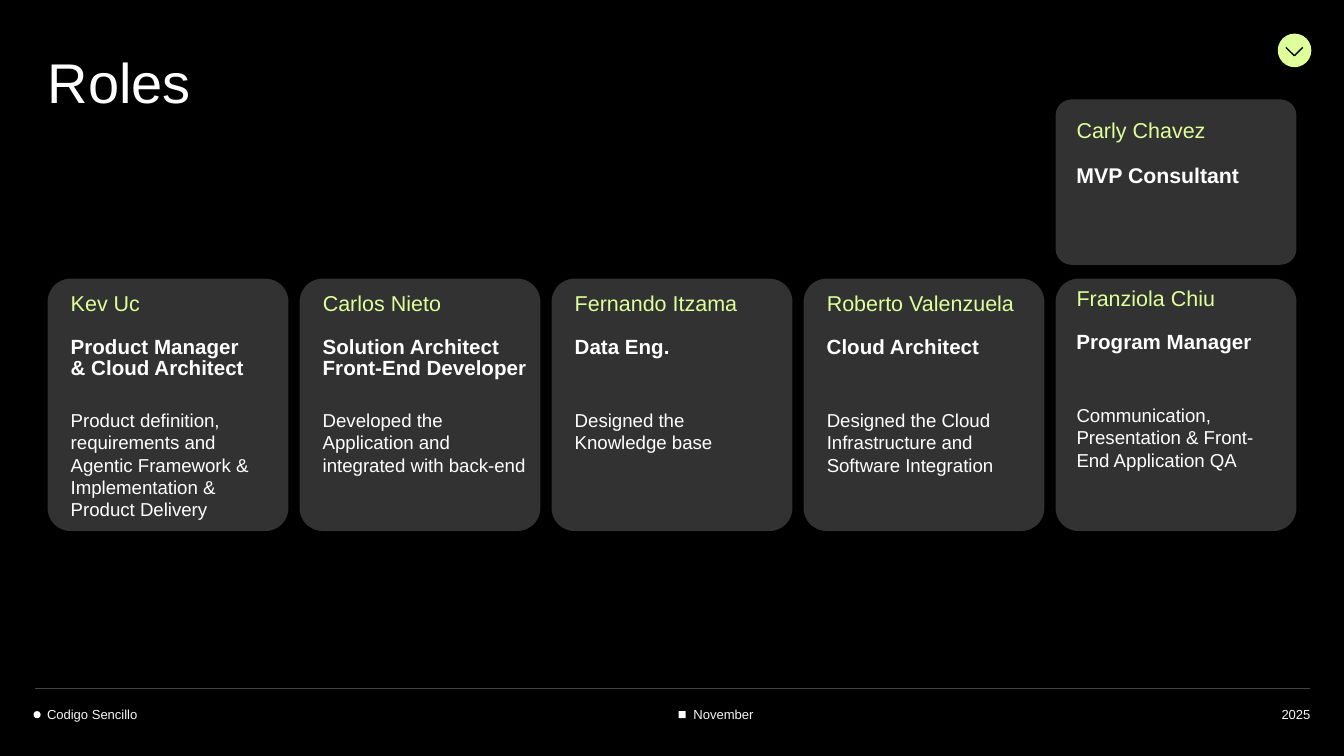
from dataclasses import dataclass

from pptx import Presentation
from pptx.dml.color import RGBColor
from pptx.enum.shapes import MSO_CONNECTOR, MSO_SHAPE
from pptx.enum.text import MSO_ANCHOR, MSO_AUTO_SIZE, PP_ALIGN
from pptx.oxml.ns import qn
from pptx.util import Pt

BLACK, WHITE, LIME = "000000", "FFFFFF", "DEFF9A"
GREY, RULE, PALE = "323232", "434343", "F5F5F5"
LEFT, STEP, WIDE = 25.5, 135, 129
ROW, TALL = 149.3, 135.2


@dataclass
class Card:
    col: int
    name: str
    role: str
    task: str = ""
    top: float = ROW
    tall: float = TALL
    dx: float = 6.6
    dy: float = 2.6
    gap: float = 23.1
    size: float = 11
    role_wide: float = 108
    task_wide: float = 118.8


@dataclass
class Label:
    text: str
    left: float
    wide: float
    align: PP_ALIGN = PP_ALIGN.LEFT


CARDS = [
    Card(0, "Kev Uc", "Product Manager & Cloud Architect",
         "Product definition, requirements and Agentic Framework & "
         "Implementation & Product Delivery"),
    Card(1, "Carlos Nieto", "Solution Architect\nFront-End Developer",
         "Developed the Application and integrated with back-end",
         role_wide=122.4, task_wide=122.4),
    Card(2, "Fernando Itzama", "Data Eng.", "Designed the Knowledge base"),
    Card(3, "Roberto Valenzuela", "Cloud Architect",
         "Designed the Cloud Infrastructure and Software Integration"),
    Card(4, "Franziola Chiu", "Program Manager",
         "Communication, Presentation & Front-End Application QA",
         dx=5.4, dy=-0.1),
    Card(4, "Carly Chavez", "MVP Consultant", top=53.3, tall=88.6,
         dx=5.4, dy=6.1, gap=23.6, size=11.4),
]
LABELS = [
    Label("Codigo Sencillo", 25.2, 212),
    Label("November", 371.5, 180),
    Label("2025", 540, 162, PP_ALIGN.RIGHT),
]


def tint(code: str) -> RGBColor:
    return RGBColor.from_string(code)


def draw_shape(slide, kind, left: float, top: float, wide: float, tall: float, code: str):
    shape = slide.shapes.add_shape(kind, Pt(left), Pt(top), Pt(wide), Pt(tall))
    shape.shadow.inherit = False
    shape.fill.solid()
    shape.fill.fore_color.rgb = tint(code)
    shape.line.fill.background()
    return shape


def draw_line(slide, x1: float, y1: float, x2: float, y2: float, code: str) -> None:
    line = slide.shapes.add_connector(
        MSO_CONNECTOR.STRAIGHT, Pt(x1), Pt(y1), Pt(x2), Pt(y2))
    line.line.color.rgb = tint(code)
    line.line.width = Pt(0.75)
    part = line._element.spPr
    part.append(part.makeelement(qn("a:effectLst"), {}))


def set_text(box, text: str, size: float, code: str, inset: float, space: float = 1.0,
             bold: bool = False, anchor=MSO_ANCHOR.TOP, align=PP_ALIGN.LEFT) -> None:
    frame = box.text_frame
    frame.text = text
    frame.word_wrap = True
    frame.auto_size = MSO_AUTO_SIZE.NONE
    frame.vertical_anchor = anchor
    frame.margin_left = frame.margin_right = Pt(inset)
    frame.margin_top = frame.margin_bottom = Pt(inset)
    for para in frame.paragraphs:
        para.alignment = align
        para.line_spacing = space
        for run in para.runs:
            run.font.name = "Arial"
            run.font.size = Pt(size)
            run.font.bold = bold
            run.font.color.rgb = tint(code)


def add_box(slide, left: float, top: float, wide: float, tall: float):
    return slide.shapes.add_textbox(Pt(left), Pt(top), Pt(wide), Pt(tall))


def draw_card(slide, card: Card) -> None:
    left = LEFT + card.col * STEP
    panel = draw_shape(slide, MSO_SHAPE.ROUNDED_RECTANGLE,
                       left, card.top, WIDE, card.tall, GREY)
    panel.adjustments[0] = 0.096
    left, top = left + card.dx, card.top + card.dy
    set_text(add_box(slide, left, top, 118.8, 23), card.name, 11.5, LIME,
             5.8, 0.85, anchor=MSO_ANCHOR.BOTTOM)
    set_text(add_box(slide, left, top + card.gap, card.role_wide, 34), card.role,
             card.size, WHITE, 5.8, 0.85, bold=True)
    if card.task:
        set_text(add_box(slide, left, top + 61.2, card.task_wide, 72), card.task,
                 10, WHITE, 5.8)


def draw_label(slide, label: Label) -> None:
    set_text(add_box(slide, label.left, 368.3, label.wide, 18.4), label.text, 7, PALE,
             0, 1.15, anchor=MSO_ANCHOR.BOTTOM, align=label.align)


def main() -> None:
    deck = Presentation()
    deck.slide_width, deck.slide_height = Pt(720), Pt(405)
    slide = deck.slides.add_slide(deck.slide_layouts[5])
    slide.background.fill.solid()
    slide.background.fill.fore_color.rgb = tint(BLACK)

    title = slide.shapes.title
    title.left, title.top = Pt(18.4), Pt(18.2)
    title.width, title.height = Pt(137), Pt(52.6)
    set_text(title, "Roles", 30, WHITE, 7.2)

    draw_shape(slide, MSO_SHAPE.OVAL, 684.5, 18, 18, 18, LIME)
    for side in (688.9, 697.9):
        draw_line(slide, side, 25.4, 693.4, 29.9, BLACK)
    draw_line(slide, 18.7, 368.8, 702, 368.8, RULE)
    draw_shape(slide, MSO_SHAPE.OVAL, 18, 381, 3.8, 3.8, WHITE)
    draw_shape(slide, MSO_SHAPE.RECTANGLE, 363.6, 381, 3.8, 3.8, WHITE)

    for card in CARDS:
        draw_card(slide, card)
    for label in LABELS:
        draw_label(slide, label)
    deck.save("out.pptx")


if __name__ == "__main__":
    main()
